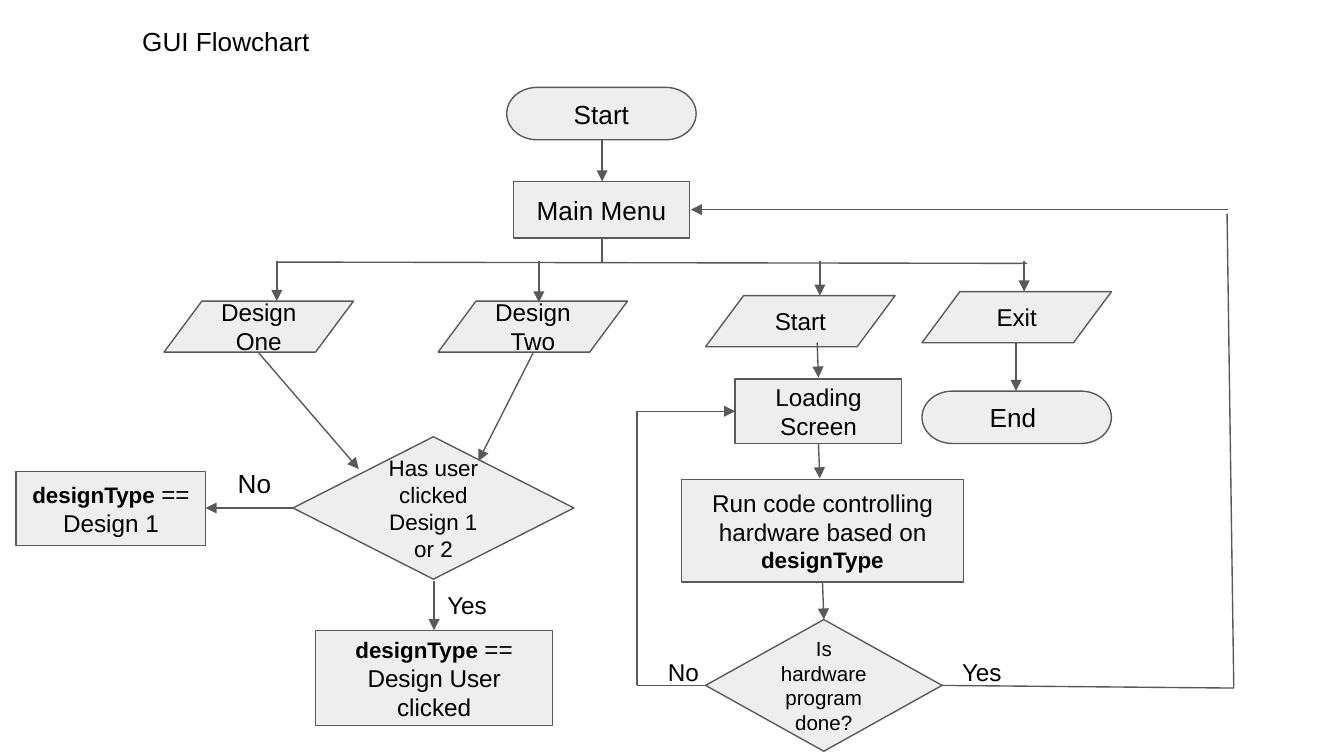
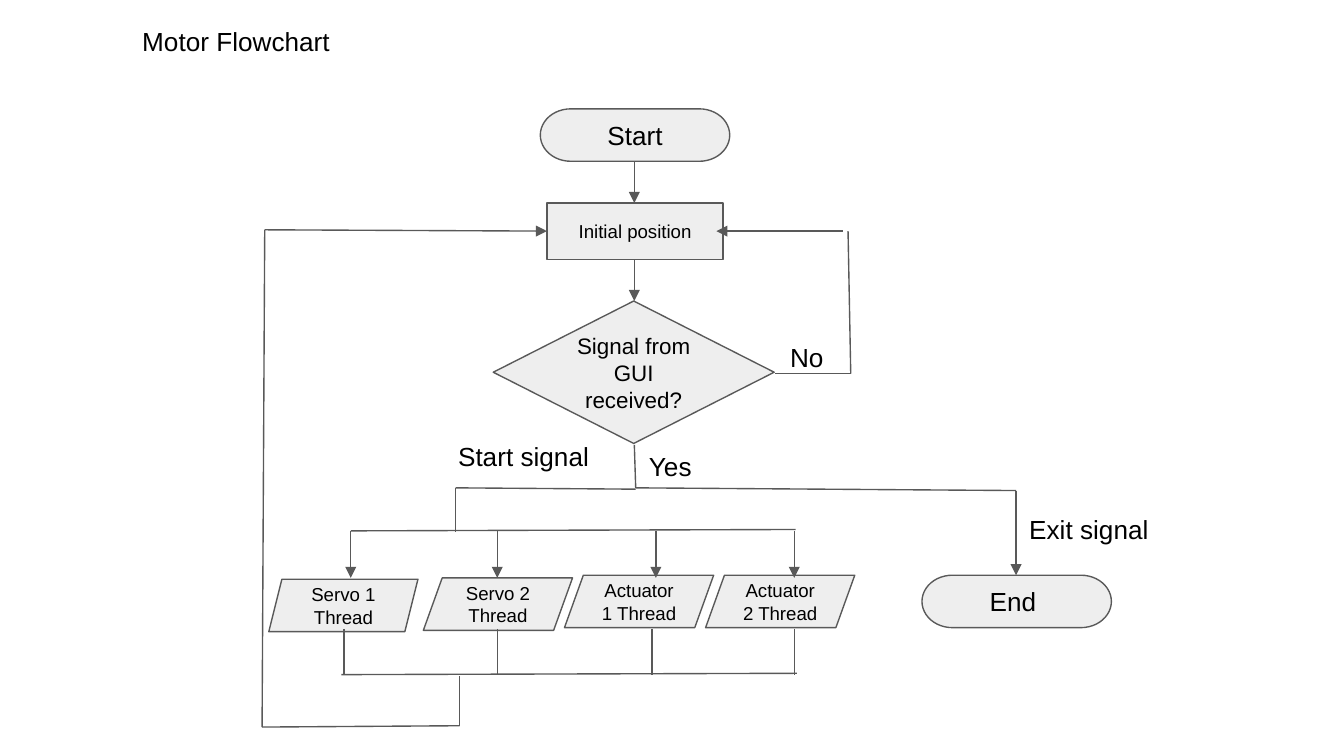
from itertools import pairwise

from lxml.etree import SubElement
from pptx import Presentation
from pptx.dml.color import RGBColor
from pptx.enum.shapes import MSO_CONNECTOR, MSO_SHAPE
from pptx.enum.text import MSO_ANCHOR, MSO_AUTO_SIZE, PP_ALIGN
from pptx.oxml.ns import qn
from pptx.util import Inches, Pt

# Shared look
FONT = "Arial"
INK = RGBColor(0x00, 0x00, 0x00)
NODE_FILL = RGBColor(0xEE, 0xEE, 0xEE)
OUTLINE = RGBColor(0x59, 0x59, 0x59)
LINE_WIDTH = Pt(0.75)
INSET = Inches(0.1)

# Node sizes used on both slides
TERMINAL = (1.41, 0.39)
STEP = (1.31, 0.42)
CHOICE = (2.09, 1.06)
INPUT = (1.41, 0.38)
THREAD = (1.11, 0.39)


def write(frame, runs, align):
    """Fill a frame with one paragraph of (text, size, bold) runs."""
    frame.word_wrap = True
    frame.margin_left = frame.margin_right = INSET
    frame.margin_top = frame.margin_bottom = INSET
    paragraph = frame.paragraphs[0]
    paragraph.alignment = align
    for text, size, bold in runs:
        run = paragraph.add_run()
        run.text = text
        run.font.name = FONT
        run.font.size = Pt(size)
        run.font.bold = bold
        run.font.color.rgb = INK


def add_node(slide, kind, left, top, size, runs, slant=None):
    width, height = size
    node = slide.shapes.add_shape(
        kind, Inches(left), Inches(top), Inches(width), Inches(height))
    node.shadow.inherit = False
    node.fill.solid()
    node.fill.fore_color.rgb = NODE_FILL
    node.line.color.rgb = OUTLINE
    node.line.width = LINE_WIDTH
    if slant is not None:
        node.adjustments[0] = slant
    node.text_frame.vertical_anchor = MSO_ANCHOR.MIDDLE
    write(node.text_frame, runs, PP_ALIGN.CENTER)


def add_terminal(slide, left, top, text):
    add_node(slide, MSO_SHAPE.FLOWCHART_TERMINATOR, left, top, TERMINAL,
             [(text, 14, False)])


def add_step(slide, left, top, size, *runs):
    add_node(slide, MSO_SHAPE.RECTANGLE, left, top, size, runs)


def add_choice(slide, left, top, size, text, points):
    add_node(slide, MSO_SHAPE.FLOWCHART_DECISION, left, top, size,
             [(text, points, False)])


def add_label(slide, left, top, width, text, points=14):
    label = slide.shapes.add_textbox(
        Inches(left), Inches(top), Inches(width), Inches(0.44))
    write(label.text_frame, [(text, points, False)], PP_ALIGN.LEFT)
    label.text_frame.auto_size = MSO_AUTO_SIZE.SHAPE_TO_FIT_TEXT


def add_line(slide, start, end, arrow):
    ends = [Inches(value) for value in (*start, *end)]
    line = slide.shapes.add_connector(MSO_CONNECTOR.STRAIGHT, *ends)
    line.line.color.rgb = OUTLINE
    line.line.width = LINE_WIDTH
    properties = line.element.spPr
    if arrow:
        SubElement(properties.find(qn("a:ln")), qn("a:tailEnd"), type="triangle")
    SubElement(properties, qn("a:effectLst"))


def add_route(slide, *points, arrow=True):
    """Join the points with lines; the last one may carry an arrowhead."""
    legs = list(pairwise(points))
    for number, (start, end) in enumerate(legs, 1):
        add_line(slide, start, end, arrow and number == len(legs))


def new_slide(deck, title):
    slide = deck.slides.add_slide(deck.slide_layouts[6])
    add_label(slide, 0.96, 0.09, 2.7, title)
    return slide


def build_gui(deck):
    slide = new_slide(deck, "GUI Flowchart")

    # Menu and its four inputs
    add_terminal(slide, 3.77, 0.65, "Start")
    add_step(slide, 3.82, 1.35, STEP, ("Main Menu", 14, False))
    for left, top, text in [(1.22, 2.24, "Design One"), (3.26, 2.24, "Design Two"),
                            (5.25, 2.2, "Start"), (6.86, 2.17, "Exit")]:
        add_node(slide, MSO_SHAPE.FLOWCHART_DATA, left, top, INPUT,
                 [(text, 13, False)])
    add_terminal(slide, 6.86, 2.91, "End ")
    add_route(slide, (4.48, 1.04), (4.48, 1.35))
    add_route(slide, (4.48, 1.77), (4.48, 1.96), arrow=False)
    add_route(slide, (2.06, 1.95), (7.64, 1.96), arrow=False)
    for x, bottom in [(2.06, 2.24), (4.01, 2.25), (6.1, 2.2), (7.62, 2.17)]:
        add_route(slide, (x, 1.94), (x, bottom))
    add_route(slide, (7.56, 2.55), (7.56, 2.91))

    # Choice of design
    add_choice(slide, 2.18, 3.25, CHOICE, "Has user clicked Design 1 or 2", 12)
    add_step(slide, 0.12, 3.51, (1.41, 0.55),
             ("designType ", 12, True), ("== Design 1", 13, False))
    add_step(slide, 2.35, 4.69, (1.76, 0.71),
             ("designType ", 12, True), ("== Design User clicked", 13, False))
    add_route(slide, (1.92, 2.62), (2.67, 3.49))
    add_route(slide, (3.97, 2.62), (3.56, 3.43))
    add_route(slide, (2.18, 3.78), (1.53, 3.78))
    add_route(slide, (3.23, 4.32), (3.23, 4.69))
    add_label(slide, 1.67, 3.38, 0.51, "No")
    add_label(slide, 3.23, 4.29, 0.64, "Yes", 13)

    # Hardware run
    add_step(slide, 5.47, 2.82, (1.24, 0.48), ("Loading Screen", 13, False))
    add_step(slide, 5.07, 3.57, (2.1, 0.76),
             ("Run code controlling hardware based on ", 13, False),
             ("designType", 12, True))
    add_choice(slide, 5.25, 4.61, (1.76, 0.98), "Is hardware program done?", 11)
    add_route(slide, (6.08, 2.55), (6.09, 2.81))
    add_route(slide, (6.09, 3.3), (6.1, 3.56))
    add_route(slide, (6.12, 4.33), (6.13, 4.61))

    # Loops back to the menu and the loading screen
    add_route(slide, (7.01, 5.1), (9.18, 5.12), (9.13, 1.59), arrow=False)
    add_route(slide, (9.14, 1.56), (5.14, 1.56))
    add_route(slide, (5.25, 5.1), (4.74, 5.1), (4.74, 3.06), (5.47, 3.06))
    add_label(slide, 7.06, 4.79, 0.51, "Yes", 13)
    add_label(slide, 4.87, 4.79, 0.65, "No", 13)


def build_motor(deck):
    slide = new_slide(deck, "Motor Flowchart")

    # Start and signal check
    add_terminal(slide, 4.02, 0.81, "Start")
    add_step(slide, 4.07, 1.51, STEP, ("Initial position", 10, False))
    add_choice(slide, 3.67, 2.24, CHOICE, "Signal from GUI received?", 12)
    add_route(slide, (4.72, 1.2), (4.72, 1.51))
    add_route(slide, (4.72, 1.93), (4.72, 2.24))
    add_route(slide, (5.77, 2.78), (6.33, 2.78), (6.31, 1.72), arrow=False)
    add_route(slide, (6.27, 1.72), (5.33, 1.72))
    add_label(slide, 5.78, 2.44, 0.52, "No")
    add_label(slide, 4.73, 3.25, 0.52, "Yes")

    # Start and exit branches
    add_terminal(slide, 6.86, 4.28, "End ")
    add_route(slide, (4.72, 3.31), (4.73, 3.63), (7.56, 3.65), (7.56, 4.28))
    add_route(slide, (4.73, 3.64), (3.39, 3.63), (3.39, 3.96), arrow=False)
    add_label(slide, 3.31, 3.18, 2.22, "Start signal")
    add_label(slide, 7.56, 3.72, 1.96, "Exit signal")

    # Threads: left, top, slant, text, x of the line in, x of the line out
    threads = [
        (2.0, 4.31, 0.25, "Servo 1 Thread", 2.61, 2.56),
        (3.15, 4.3, 0.36, "Servo 2 Thread", 3.7, 3.7),
        (4.2, 4.28, 0.36, "Actuator 1 Thread", 4.88, 4.85),
        (5.25, 4.28, 0.36, "Actuator 2 Thread", 5.91, 5.91),
    ]
    for left, top, slant, text, x_in, x_out in threads:
        add_node(slide, MSO_SHAPE.PARALLELOGRAM, left, top, THREAD,
                 [(text, 10, False)], slant)
        add_route(slide, (x_in, 3.95), (x_in, 4.3))
        add_route(slide, (x_out, 4.68), (x_out, 5.02), arrow=False)
    add_route(slide, (2.61, 3.95), (5.92, 3.94), arrow=False)
    add_route(slide, (2.54, 5.02), (5.93, 5.01), arrow=False)

    # Loop back to the initial position
    add_route(slide, (3.42, 5.03), (3.42, 5.4), (1.95, 5.41),
              (1.97, 1.71), (4.07, 1.72))


def main():
    deck = Presentation()
    # Widescreen, 16:9
    deck.slide_width = Inches(10)
    deck.slide_height = deck.slide_width * 9 // 16
    build_gui(deck)
    build_motor(deck)
    deck.save("out.pptx")


if __name__ == "__main__":
    main()
